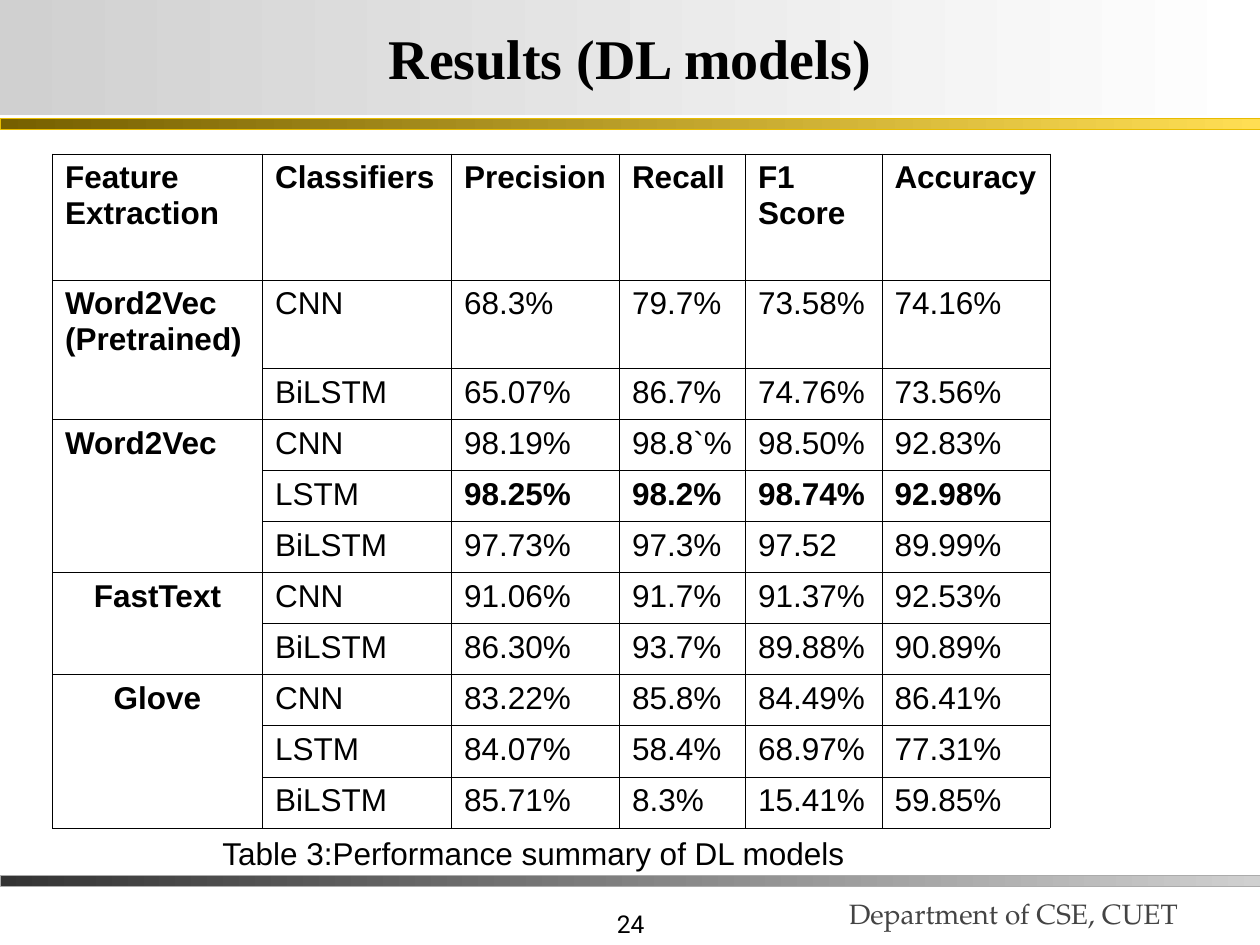
from lxml import etree
from pptx import Presentation
from pptx.dml.color import RGBColor
from pptx.enum import shapes, text
from pptx.oxml import ns
from pptx.util import Pt

HEADERS = ["Feature Extraction", "Classifiers", "Precision", "Recall", "F1 Score", "Accuracy"]
LEFT, CENTER, RIGHT = text.PP_ALIGN.LEFT, text.PP_ALIGN.CENTER, text.PP_ALIGN.RIGHT
GROUPS = [
    (["Word2Vec", "(Pretrained)"], LEFT, [
        ["CNN", "68.3%", "79.7%", "73.58%", "74.16%"],
        ["BiLSTM", "65.07%", "86.7%", "74.76%", "73.56%"]]),
    (["Word2Vec"], LEFT, [
        ["CNN", "98.19%", "98.8`%", "98.50%", "92.83%"],
        ["LSTM", "98.25%", "98.2%", "98.74%", "92.98%"],
        ["BiLSTM", "97.73%", "97.3%", "97.52", "89.99%"]]),
    (["FastText"], CENTER, [
        ["CNN", "91.06%", "91.7%", "91.37%", "92.53%"],
        ["BiLSTM", "86.30%", "93.7%", "89.88%", "90.89%"]]),
    (["Glove"], CENTER, [
        ["CNN", "83.22%", "85.8%", "84.49%", "86.41%"],
        ["LSTM", "84.07%", "58.4%", "68.97%", "77.31%"],
        ["BiLSTM", "85.71%", "8.3%", "15.41%", "59.85%"]]),
]
BEST_ROW = 4
COLUMN_WIDTHS = [120, 108, 96, 72, 78, 96]
ROW_HEIGHTS = [72, 50.4] + [29.2] * 9


def color(value):
    return RGBColor.from_string(value)


def write(frame, lines, size, font="Arial", ink="000000", bold=False, align=LEFT):
    for index, line in enumerate(lines):
        paragraph = frame.add_paragraph() if index else frame.paragraphs[0]
        paragraph.alignment = align
        run = paragraph.add_run()
        run.text = line
        run.font.size = Pt(size)
        run.font.name = font
        run.font.bold = bold
        run.font.color.rgb = color(ink)


def add_band(slide, box, start, end, edge=None):
    band = slide.shapes.add_shape(shapes.MSO_SHAPE.RECTANGLE, *map(Pt, box))
    band.shadow.inherit = False
    band.fill.gradient()
    band.fill.gradient_angle = 0
    for stop, shade in zip(band.fill.gradient_stops, (start, end)):
        stop.color.rgb = color(shade)
    if edge:
        band.line.color.rgb = color(edge)
        band.line.width = Pt(0.25)
    else:
        band.line.fill.background()
    return band


def add_label(slide, box, line, size, anchor=text.MSO_ANCHOR.BOTTOM, **style):
    frame = slide.shapes.add_textbox(*map(Pt, box)).text_frame
    frame.word_wrap = True
    frame.vertical_anchor = anchor
    write(frame, [line], size, **style)


def add_header(slide, box):
    left, top, width, height = box
    add_band(slide, (left, top + 67.7, width, 6), "766000", "FFDE53", "E8BC00")
    title = add_band(slide, (left, top, width, height), "D0D0D0", "FFFFFF").text_frame
    title.word_wrap = True
    title.vertical_anchor = text.MSO_ANCHOR.MIDDLE
    title.margin_left = title.margin_right = Pt(1.4)
    title.margin_top = title.margin_bottom = Pt(0.7)
    write(title, ["Results (DL models)"], 32, "Times New Roman", bold=True, align=CENTER)


def add_footer(slide, box):
    left, top, width, height = box
    add_label(slide, (left + 225.4, top + 3.6, 150, 36), "24", 14, font="Roboto", align=RIGHT)
    add_label(slide, (left + 478, top - 10.8, 247.7, 45.4), "Department of CSE, CUET", 16,
              font="TeX Gyre Pagella", ink="444444")
    add_band(slide, (left, top, width, height), "333333", "D0D0D0", "ABABAB")


def add_borders(cell):
    properties = cell._tc.get_or_add_tcPr()
    for index, side in enumerate(("a:lnL", "a:lnR", "a:lnT", "a:lnB")):
        line = etree.Element(ns.qn(side), w=str(Pt(0.45)))
        fill = etree.SubElement(line, ns.qn("a:solidFill"))
        etree.SubElement(fill, ns.qn("a:srgbClr"), val="000000")
        properties.insert(index, line)


def add_results(slide, box):
    table = slide.shapes.add_table(len(ROW_HEIGHTS), len(HEADERS), *map(Pt, box)).table
    table.first_row = table.horz_banding = False
    for column, width in zip(table.columns, COLUMN_WIDTHS):
        column.width = Pt(width)
    for row, height in zip(table.rows, ROW_HEIGHTS):
        row.height = Pt(height)
    for cell in table.iter_cells():
        cell.fill.background()
        add_borders(cell)
    for column, header in enumerate(HEADERS):
        write(table.cell(0, column).text_frame, [header], 18, bold=True)
    row = 1
    for feature, align, scores in GROUPS:
        feature_cell = table.cell(row, 0)
        feature_cell.merge(table.cell(row + len(scores) - 1, 0))
        write(feature_cell.text_frame, feature, 18, bold=True, align=align)
        for values in scores:
            for column, value in enumerate(values, 1):
                write(table.cell(row, column).text_frame, [value], 18,
                      bold=row == BEST_ROW and column > 1)
            row += 1


def main():
    deck = Presentation()
    deck.slide_width, deck.slide_height = Pt(720), Pt(540)
    slide = deck.slides.add_slide(deck.slide_layouts[6])
    add_footer(slide, (0, 500.4, 720, 6))
    add_header(slide, (0, 0, 720, 65.5))
    add_results(slide, (30, 88, sum(COLUMN_WIDTHS), sum(ROW_HEIGHTS)))
    add_label(slide, (120, 473, 438, 50.4), "Table 3:Performance summary of DL models", 18,
              anchor=text.MSO_ANCHOR.TOP)
    deck.save("out.pptx")


if __name__ == "__main__":
    main()
